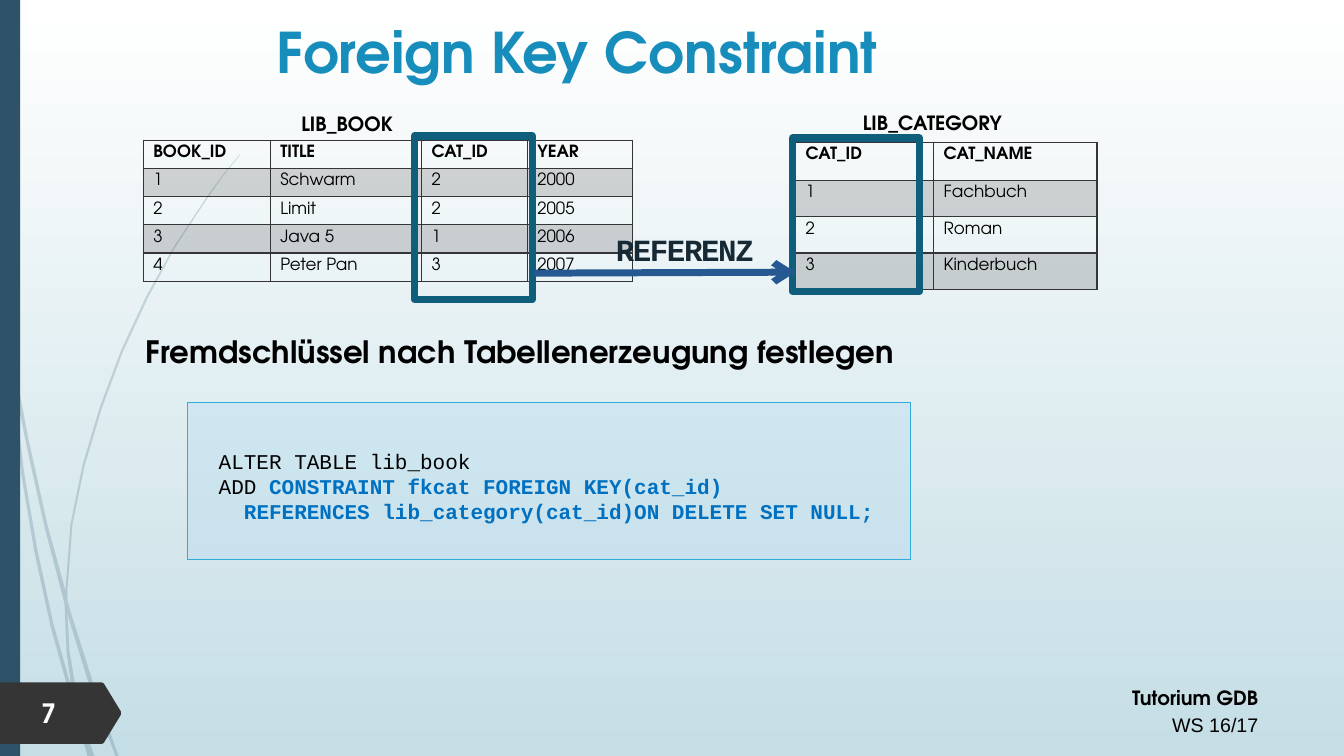
"""Build the slide that explains a foreign key constraint between two tables."""
from pptx import Presentation
from pptx.dml.color import RGBColor
from pptx.enum.shapes import MSO_CONNECTOR, MSO_SHAPE
from pptx.enum.text import MSO_ANCHOR, PP_ALIGN
from pptx.oxml import parse_xml
from pptx.oxml.ns import nsdecls, qn
from pptx.oxml.xmlchemy import OxmlElement
from pptx.util import Pt

PX = 9144
BLANK = 6
RECTANGLE = MSO_SHAPE.RECTANGLE
STRAIGHT = MSO_CONNECTOR.STRAIGHT
LEFT, CENTER, RIGHT = PP_ALIGN.LEFT, PP_ALIGN.CENTER, PP_ALIGN.RIGHT
TOP, MIDDLE = MSO_ANCHOR.TOP, MSO_ANCHOR.MIDDLE
SANS, MONO = "TeX Gyre Adventor", "Courier New"
HEX = {
    "white": "FFFFFF", "mist": "C5DEE5", "slate": "2E5369", "dark": "353535",
    "black": "000000", "title": "178DBB", "frame": "0F5E7C", "reference": "172934",
    "arrow": "265991", "code fill": "A8D5F0", "code line": "2FACDC", "keyword": "0070C0",
}
COLORS = {name: RGBColor.from_string(value) for name, value in HEX.items()}


def fade(element, percent):
    """Make the first colour inside the element partly opaque."""
    alpha = OxmlElement("a:alpha")
    alpha.set("val", str(percent * 1000))
    element.find(".//" + qn("a:srgbClr")).append(alpha)


def add_text(box, lines, size, color="black", font=SANS, align=LEFT, anchor=TOP):
    """Add a text box with one bold paragraph per line."""
    shape = slide.shapes.add_textbox(*[value * PX for value in box])
    frame = shape.text_frame
    frame.word_wrap = True
    frame.vertical_anchor = anchor
    frame.text = "\n".join(lines)
    for paragraph in frame.paragraphs:
        paragraph.alignment = align
        paragraph.font.size = Pt(size)
        paragraph.font.name = font
        paragraph.font.bold = True
        paragraph.font.color.rgb = COLORS[color]
    return frame.paragraphs


presentation = Presentation()
presentation.slide_width = 1333 * PX
presentation.slide_height = 750 * PX
slide = presentation.slides.add_slide(presentation.slide_layouts[BLANK])

background = slide.background.fill
background.gradient()
background.gradient_angle = 270
for stop, name, position in zip(background.gradient_stops, ("white", "mist"), (0, 1)):
    stop.color.rgb = COLORS[name]
    stop.position = position

side_bar = slide.shapes.add_shape(RECTANGLE, 0, 0, 20 * PX, 750 * PX)
side_bar.shadow.inherit = False
side_bar.fill.solid()
side_bar.fill.fore_color.rgb = COLORS["slate"]
side_bar.line.fill.background()

wisps = [
    [(8, 350), (6, 322), (0, 282), (0, 299), (8, 344)],
    [(44, 522), (64, 599), (65, 586), (47, 520), (28, 434), (11, 345), (13, 376), (28, 450)],
    [(70, 607), (67, 596), (67, 610), (93, 694), (115, 751), (118, 751), (97, 692)],
    [(91, 751), (94, 751), (80, 711)],
    [(71, 683), (53, 619), (37, 545), (24, 469), (13, 376), (8, 350), (21, 470), (34, 547),
     (50, 621), (70, 693), (77, 714), (75, 707)],
    [(64, 599), (66, 646), (71, 683), (73, 692), (80, 711), (79, 706), (69, 646), (67, 610),
     (67, 608)],
    [(67, 584), (72, 520), (84, 462), (101, 405), (122, 349), (147, 295), (174, 245),
     (205, 198), (221, 175), (238, 154), (238, 153), (220, 175), (204, 197), (173, 244),
     (145, 294), (120, 348), (99, 404), (82, 461), (70, 520), (65, 584), (65, 586), (67, 596)],
    [(77, 714), (87, 751), (90, 751)],
    [(67, 608), (67, 596), (65, 586), (64, 599)],
    [(74, 692), (71, 683), (75, 707), (77, 714), (90, 751), (91, 751), (80, 711)],
]
page_tag = [(0, 677), (101, 677), (103, 678), (120, 706), (120, 709), (103, 737),
            (101, 738), (0, 738)]
outlines = [(points, "slate", 20) for points in wisps] + [(page_tag, "dark", 100)]
for points, color, opacity in outlines:
    builder = slide.shapes.build_freeform(*points[0], scale=PX)
    builder.add_line_segments(points[1:], close=True)
    shape = builder.convert_to_shape()
    shape.shadow.inherit = False
    shape.fill.solid()
    shape.fill.fore_color.rgb = COLORS[color]
    fade(shape._element.spPr, opacity)
    shape.line.fill.background()

footer = add_text((738, 672, 520, 64), ["Tutorium GDB", "WS 16/17"], 14, align=RIGHT)
for paragraph in footer:
    paragraph.line_spacing = 1.14
footer[1].font.name = "Arial"
footer[1].font.bold = False
add_text((31, 686, 70, 42), ["7"], 19, "white", anchor=MIDDLE)
add_text((124, 10, 897, 81), ["Foreign Key Constraint"], 40, "title", align=CENTER,
         anchor=MIDDLE)

books = [
    ("BOOK_ID", "TITLE", "CAT_ID", "YEAR"),
    ("1", "Schwarm", "2", "2000"),
    ("2", "Limit", "2", "2005"),
    ("3", "Java 5", "1", "2006"),
    ("4", "Peter Pan", "3", "2007"),
]
categories = [("CAT_ID", "CAT_NAME"), ("1", "Fachbuch"), ("2", "Roman"), ("3", "Kinderbuch")]
tables = [
    (books, 142, 139, (126, 150, 105, 104), (28,) * 5, (411, 135, 117, 162)),
    (categories, 789, 141, (137, 162), (38, 36, 36, 36), (786, 137, 126, 152)),
]
for records, left, top, widths, heights, key_box in tables:
    table = slide.shapes.add_table(len(heights), len(widths), left * PX, top * PX,
                                   sum(widths) * PX, sum(heights) * PX).table
    table.first_row = False
    table.horz_banding = False
    for column, width in zip(table.columns, widths):
        column.width = width * PX
    for row_index, (row, height, record) in enumerate(zip(table.rows, heights, records)):
        row.height = height * PX
        for cell, value in zip(row.cells, record):
            cell.text = value
            cell.vertical_anchor = TOP
            cell.margin_left = cell.margin_right = 10 * PX
            cell.margin_top = 5 * PX
            cell.margin_bottom = 0
            font = cell.text_frame.paragraphs[0].font
            font.size = Pt(12)
            font.name = SANS
            font.bold = row_index == 0
            font.color.rgb = COLORS["black"]
            if row_index % 2:
                cell.fill.solid()
                cell.fill.fore_color.rgb = COLORS["dark"]
                fade(cell._tc.tcPr, 20)
            else:
                cell.fill.background()
            for position, side in enumerate("LRTB"):
                cell._tc.tcPr.insert(position, parse_xml(
                    f'<a:ln{side} {nsdecls("a")} w="{Pt(1)}"><a:solidFill>'
                    f'<a:srgbClr val="{HEX["dark"]}"/></a:solidFill></a:ln{side}>'))
    key_frame = slide.shapes.add_shape(RECTANGLE, *[value * PX for value in key_box])
    key_frame.shadow.inherit = False
    key_frame.fill.background()
    key_frame.line.color.rgb = COLORS["frame"]
    key_frame.line.width = Pt(5.25)

reference = add_text((601, 224, 157, 54), ["REFERENZ"], 22, "reference", MONO)[0]
reference.space_before = Pt(4.4)
reference.runs[0].font._element.set("spc", "-100")
add_text((846, 105, 284, 34), ["LIB_CATEGORY"], 14)
add_text((289, 106, 284, 34), ["LIB_BOOK"], 14)

code_box = slide.shapes.add_shape(RECTANGLE, 186 * PX, 399 * PX, 717 * PX, 156 * PX)
code_box.shadow.inherit = False
code_box.fill.solid()
code_box.fill.fore_color.rgb = COLORS["code fill"]
fade(code_box._element.spPr, 27)
code_box.line.color.rgb = COLORS["code line"]
code_box.line.width = Pt(0.75)
code = code_box.text_frame
code.word_wrap = True
code.vertical_anchor = MIDDLE
code.margin_left, code.margin_top = 31 * PX, 16 * PX
code.margin_right, code.margin_bottom = 10 * PX, 5 * PX
statement = [
    (0, "ALTER TABLE lib_book\vADD ", "CONSTRAINT fkcat FOREIGN KEY(cat_id)"),
    (25, "", "REFERENCES lib_category(cat_id)ON DELETE SET NULL;"),
]
for index, (indent, plain, keywords) in enumerate(statement):
    paragraph = code.add_paragraph() if index else code.paragraphs[0]
    paragraph.text = plain
    paragraph.alignment = LEFT
    paragraph.font.size = Pt(15)
    paragraph.font.name = MONO
    paragraph.font.color.rgb = COLORS["black"]
    paragraph._p.get_or_add_pPr().set("marL", str(indent * PX))
    run = paragraph.add_run()
    run.text = keywords
    run.font.bold = True
    run.font.color.rgb = COLORS["keyword"]

add_text((135, 325, 780, 47), ["Fremdschlüssel nach Tabellenerzeugung festlegen"], 22)

arrow = slide.shapes.add_connector(STRAIGHT, 530 * PX, 271 * PX, 789 * PX, 270 * PX)
arrow.line.color.rgb = COLORS["arrow"]
arrow.line.width = Pt(5)
arrow.line._get_or_add_ln().append(parse_xml(f'<a:tailEnd {nsdecls("a")} type="arrow"/>'))
arrow._element.spPr.append(OxmlElement("a:effectLst"))

presentation.save("out.pptx")
